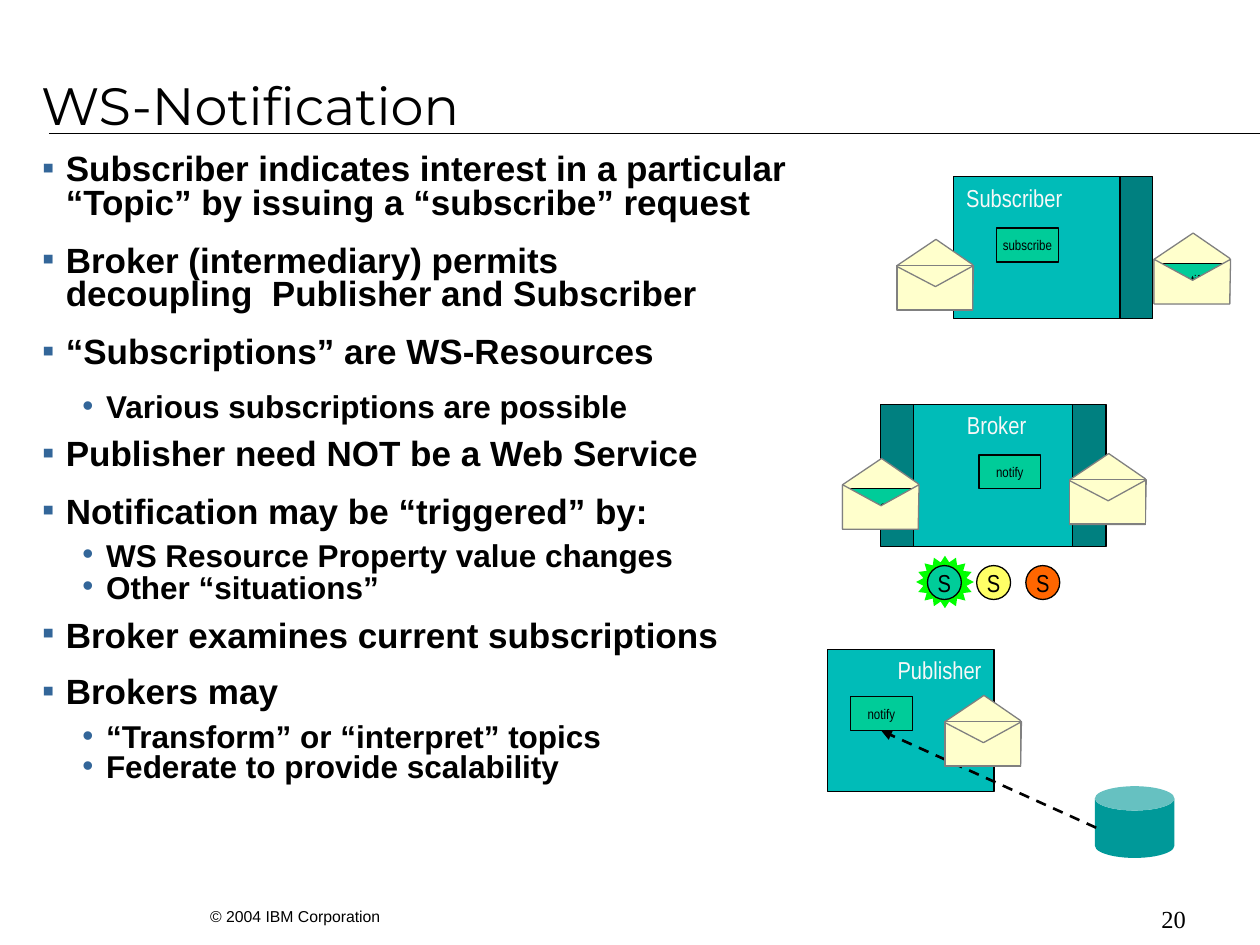
import math
import pptx
import pptx.dml.color
import pptx.enum.dml
import pptx.enum.shapes
import pptx.enum.text
import pptx.oxml
import pptx.oxml.ns
import pptx.util

Pt = pptx.util.Pt
MSO = pptx.enum.shapes.MSO_SHAPE
PP = pptx.enum.text.PP_ALIGN
ANCHOR = pptx.enum.text.MSO_ANCHOR
RGB = pptx.dml.color.RGBColor.from_string
NS = pptx.oxml.ns.nsdecls("a")

THEME = {
    "black": "000000", "label": "F8F8F8", "bullet": "336699",
    "service": "00BCB8", "port": "008080", "message": "00CC99",
    "paper": "FFFFCC", "fold": "808080", "burst": "00FF00", "store": "009999",
    "yellow": "FFFF66", "orange": "FF6600",
    "sans": "Arial", "narrow": "Arial Narrow", "head": "Montserrat", "serif": "Times New Roman",
    "title": 30, "body": 20, "sub": 18, "name": 14, "small": 9, "tiny": 8,
}


def draw(geometry, box=None, fill=None, line="black"):
    if box:
        sp = s.shapes.add_shape(geometry, *map(Pt, box))
    else:
        start, *rest = [(Pt(x), Pt(y)) for x, y in geometry]
        closed = fill is not None
        builder = s.shapes.build_freeform(*start, scale=1.0)
        sp = builder.add_line_segments(rest, close=closed).convert_to_shape()
    sp.shadow.inherit = False
    if fill:
        sp.fill.solid()
        sp.fill.fore_color.rgb = RGB(THEME[fill])
    else:
        sp.fill.background()
    if line:
        sp.line.color.rgb = RGB(THEME[line])
        sp.line.width = Pt(0.75)
    else:
        sp.line.fill.background()
    return sp


def write(sp, text, size, font, color="black", align=PP.LEFT, anchor=ANCHOR.MIDDLE, wrap=False, bold=False):
    tf = sp.text_frame
    tf.word_wrap = wrap
    tf.vertical_anchor = anchor
    p = tf.paragraphs[0] if not tf.text else tf.add_paragraph()
    p.text = text
    p.alignment = align
    for r in p.runs:
        for key, value in {"size": Pt(THEME[size]), "name": THEME[font], "bold": bold}.items():
            setattr(r.font, key, value)
        r.font.color.rgb = RGB(THEME[color])
    return p


prs = pptx.Presentation()
prs.slide_width, prs.slide_height = Pt(720), Pt(540)
s = prs.slides.add_slide(prs.slide_layouts[6])

rule = s.shapes.add_connector(pptx.enum.shapes.MSO_CONNECTOR.STRAIGHT, Pt(28), Pt(76.5), Pt(720), Pt(76.5))
rule.line.width = Pt(0.75)

for box, text, size, font, align in [
    ((113, 514.8, 121.7, 18), "© 2004 IBM Corporation", "small", "sans", PP.LEFT),
    ((16.5, 39, 689, 41.8), "WS-Notification", "title", "head", PP.LEFT),
    ((616.3, 516.2, 68.4, 17.3), "20", "name", "serif", PP.RIGHT),
]:
    write(s.shapes.add_textbox(*map(Pt, box)), text, size, font, align=align, wrap=True)

body = s.shapes.add_textbox(Pt(17), Pt(85), Pt(494), Pt(396.7))
for level, spacing, before, text in [
    (0, 0.8, 0, "Subscriber indicates interest in a particular “Topic” by issuing a “subscribe” request"),
    (0, 0.8, 8.8, "Broker (intermediary) permits \vdecoupling  Publisher and Subscriber"),
    (0, 0.8, 8.8, "“Subscriptions” are WS-Resources"),
    (1, 0.8, 7.9, "Various subscriptions are possible"),
    (0, 0.8, 8.8, "Publisher need NOT be a Web Service"),
    (0, 0.8, 8.8, "Notification may be “triggered” by:"),
    (1, 0.65, 4.5, "WS Resource Property value changes"),
    (1, 0.65, 4.5, "Other “situations”"),
    (0, 0.65, 12.5, "Broker examines current subscriptions"),
    (0, 0.8, 8.8, "Brokers may"),
    (1, 0.8, 2.2, "“Transform” or “interpret” topics"),
    (1, 0.8, 0, "Federate to provide scalability"),
]:
    p = write(body, text, ("body", "sub")[level], "sans", anchor=ANCHOR.TOP, wrap=True, bold=True)
    formats = {"level": level, "line_spacing": spacing, "space_before": Pt(before), "space_after": Pt((5, 0)[level])}
    for key, value in formats.items():
        setattr(p, key, value)
    pPr = p._p.get_or_add_pPr()
    pPr.set("marL", str(Pt((13.5, 36.5)[level])))
    pPr.set("indent", str(-Pt(13.5)))
    for xml in (
        f'<a:buClr {NS}><a:srgbClr val="{THEME["bullet"]}"/></a:buClr>',
        f'<a:buFont {NS} typeface="{THEME["sans"]}"/>',
        f'<a:buChar {NS} char="{"▪•"[level]}"/>',
    ):
        pPr.append(pptx.oxml.parse_xml(xml))

tips = []
for i in range(32):
    angle, reach = math.pi * i / 16, (1, 0.76)[i % 2]
    tips.append((540 + 16.5 * reach * math.cos(angle), 332.6 + 15 * reach * math.sin(angle)))
draw(tips, fill="burst", line=None)

for x, y in [(503.3, 231), (612.7, 231), (639.4, 101)]:
    draw(MSO.RECTANGLE, (x, y, 19.4, 81.2), "port")
    if x == 503.3:
        broker = draw(MSO.RECTANGLE, (522, 231, 95, 81.2), "service")
        write(broker, "Broker", "name", "narrow", "label", PP.CENTER, ANCHOR.TOP)
for x, y, text, align in [(545, 101, "Subscriber", PP.LEFT), (473, 371, "Publisher", PP.RIGHT)]:
    sp = draw(MSO.RECTANGLE, (x, y, 95, 81.2), "service")
    write(sp, text, "name", "narrow", "label", align, ANCHOR.TOP)

can = draw(MSO.CAN, (625.7, 449.3, 45.4, 41), "store", None)
can.adjustments[0] = 0.34

for i, color in enumerate(["message", "yellow", "orange"]):
    sp = draw(MSO.OVAL, (530 + 28.1 * i, 323.2, 19.4, 19.4), color)
    write(sp, "S", "name", "narrow", align=PP.CENTER)

for x, y, text in [(569.5, 130.3, "subscribe"), (559.4, 260, "notify"), (486, 398.2, "notify")]:
    message = draw(MSO.RECTANGLE, (x, y, 35.3, 19.4), "message")
    write(message, text, "tiny", "narrow", align=PP.CENTER)

arrow = s.shapes.add_connector(pptx.enum.shapes.MSO_CONNECTOR.STRAIGHT, Pt(626.4), Pt(473), Pt(502), Pt(419))
arrow.end_connect(message, 2)
arrow.line.width = Pt(1.5)
arrow.line.dash_style = pptx.enum.dml.MSO_LINE.DASH
arrow.line._get_or_add_ln().append(pptx.oxml.parse_xml(f'<a:tailEnd {NS} type="triangle"/>'))
for cxn in (rule, arrow):
    cxn.line.color.rgb = RGB(THEME["black"])
    cxn._element.spPr.append(pptx.oxml.parse_xml(f"<a:effectLst {NS}/>"))

BACK = [(0, 40.3), (0, 15), (22.3, 0), (43.2, 14.4), (43.2, 40.3)]
POCKET = [(0, 40.5), (0, 15), (22, 27), (43.7, 15), (43.2, 40.5)]
FLAP = [(43.7, 15), (22, 27), (0, 15.5)]
for x, y, letter in [
    (512.6, 136.8, None), (481.5, 262, "subscribe"), (540, 397.4, None),
    (659.5, 133.2, "notify"), (611.3, 259.2, None),
]:
    back, pocket, flap = [[(x + dx, y + dy) for dx, dy in part] for part in (BACK, POCKET, FLAP)]
    draw(back, fill="paper", line="fold")
    if letter:
        sp = draw(MSO.RECTANGLE, (x + 4, y + 17.3, 35.3, 19.4), "message")
        write(sp, letter, "tiny", "narrow", align=PP.CENTER)
    draw(pocket, fill="paper", line="fold")
    if not letter:
        draw(MSO.RECTANGLE, (x, y + 15, 43.2, 25.2), "paper", "fold")
        draw(flap, line="fold")

prs.save("out.pptx")
